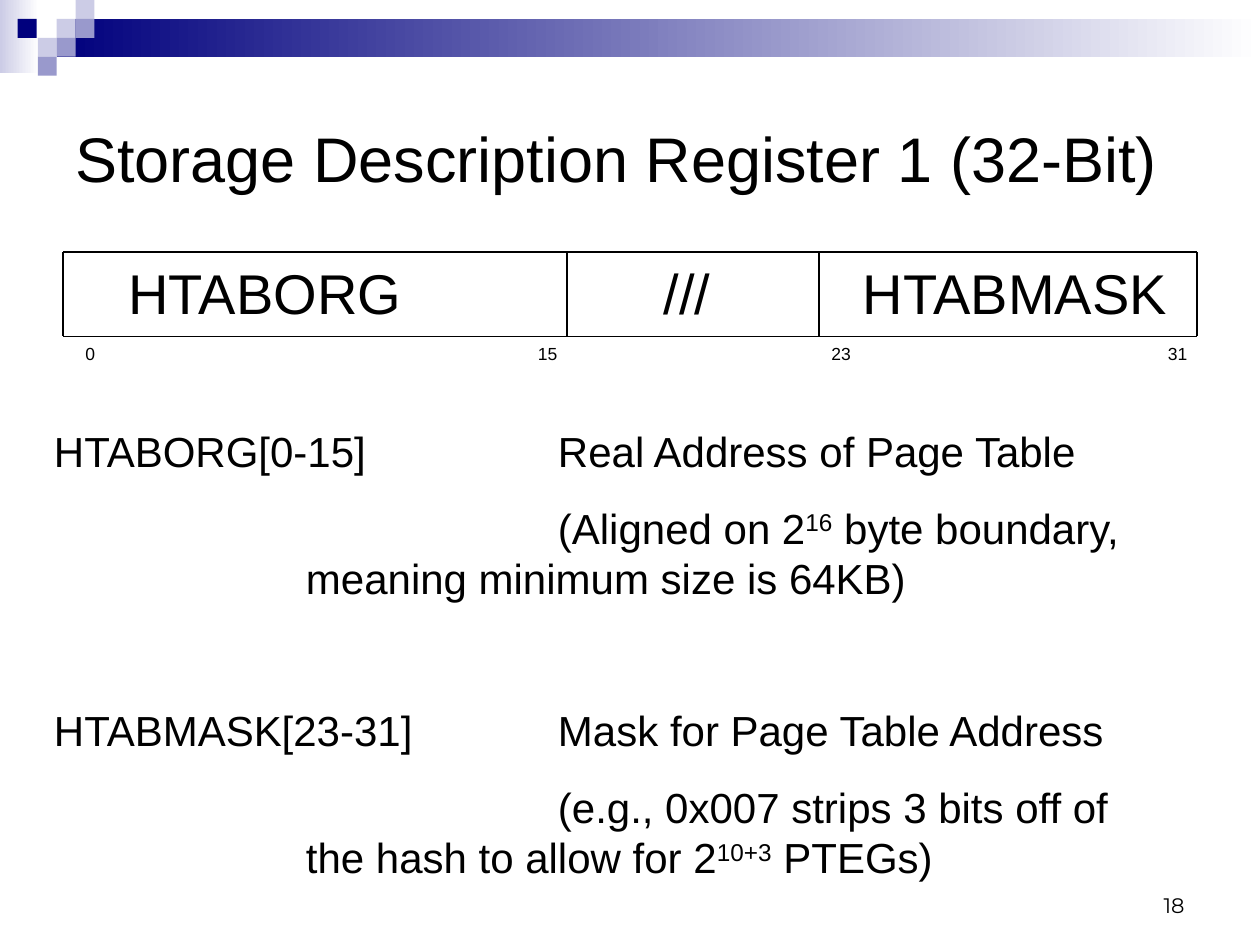
from lxml.etree import SubElement
from pptx import Presentation
from pptx.dml.color import RGBColor
from pptx.enum.shapes import MSO_CONNECTOR as Connector, MSO_SHAPE as Shape
from pptx.enum.text import MSO_ANCHOR as Anchor, PP_ALIGN as Align
from pptx.oxml.ns import qn
from pptx.util import Inches, Pt

COLORS = {"black": "000000", "white": "FFFFFF", "navy": "00007D",
          "lavender": "CCCCE6", "violet": "9999CC"}


def color(name):
    return RGBColor.from_string(COLORS[name])


def add_text(left, top, width, height, text, size, font="Arial", anchor=Anchor.TOP):
    frame = slide.shapes.add_textbox(
        Inches(left), Inches(top), Inches(width), Inches(height)).text_frame
    frame.word_wrap = True
    frame.vertical_anchor = anchor
    frame.text = text
    for paragraph in frame.paragraphs:
        for run in paragraph.runs:
            run.font.size = Pt(size)
            run.font.name = font
            run.font.color.rgb = color("black")
    return frame


prs = Presentation()
prs.slide_width, prs.slide_height = Inches(10), Inches(7.5)
slide = prs.slides.add_slide(prs.slide_layouts[6])

banner = [
    (0, 0, 0.31, 0.58, "lavender", True),
    (0.45, 0.15, 9.55, 0.3, "navy", True),
]
tiles = [
    (0.45, 0.15, "lavender"), (0.6, 0, "lavender"), (0.6, 0.15, "violet"),
    (0.3, 0.3, "lavender"), (0.14, 0.15, "navy"), (0.45, 0.3, "violet"),
    (0.3, 0.45, "violet"),
]
banner += [(left, top, 0.15, 0.15, shade, False) for left, top, shade in tiles]
for left, top, width, height, shade, fades in banner:
    block = slide.shapes.add_shape(
        Shape.RECTANGLE, Inches(left), Inches(top), Inches(width), Inches(height))
    block.shadow.inherit = False
    block.line.fill.background()
    if fades:
        block.fill.gradient()
        block.fill.gradient_angle = 0
        for stop, name in zip(block.fill.gradient_stops, (shade, "white")):
            stop.color.rgb = color(name)
    else:
        block.fill.solid()
        block.fill.fore_color.rgb = color(shade)

add_text(0.5, 0.5, 9, 1.5, "Storage Description Register 1 (32-Bit)", 36,
         anchor=Anchor.MIDDLE)

register_top, register_bottom = 2, 2.67
edges = [(0.5, y, 9.5, y) for y in (register_top, register_bottom)]
edges += [(x, register_top, x, register_bottom) for x in (0.5, 4.5, 6.5, 9.5)]
for x1, y1, x2, y2 in edges:
    edge = slide.shapes.add_connector(
        Connector.STRAIGHT, Inches(x1), Inches(y1), Inches(x2), Inches(y2))
    edge.line.color.rgb = color("black")
    edge.line.width = Pt(0.75)
    SubElement(edge._element.spPr, qn("a:effectLst"))

for left, width, field in [(0.92, 2.67, "HTABORG"), (5.17, 0.67, "///"),
                           (6.75, 2.75, "HTABMASK")]:
    add_text(left, register_top, width, 0.64, field, 32)

for left, width, bit in [(0.58, 0.27, "0"), (4.17, 0.58, "15"),
                         (6.5, 0.42, "23"), (9.17, 0.42, "31")]:
    add_text(left, register_bottom, width, 0.27, bit, 10)

descriptions = [
    (["HTABORG[0-15]\tReal Address of Page Table"], 0),
    (["(Aligned on 2", "16", " byte boundary,\vmeaning minimum size is 64KB)"], 15),
    (["HTABMASK[23-31]\tMask for Page Table Address"], 58),
    (["(e.g., 0x007 strips 3 bits off of\vthe hash to allow for 2", "10+3", " PTEGs)"], 15),
]
details = add_text(0.33, 3.33, 9.42, 3.74,
                   "\n".join(parts[0] for parts, _ in descriptions), 24)
for paragraph, (parts, space) in zip(details.paragraphs, descriptions):
    paragraph.space_before = Pt(space)
    properties = paragraph._p.get_or_add_pPr()
    if len(parts) == 1:
        tabs = SubElement(properties, qn("a:tabLst"))
        SubElement(tabs, qn("a:tab"), pos=str(Inches(4)), algn="l")
        continue
    properties.set("marL", str(Inches(2)))
    properties.set("indent", str(Inches(2)))
    exponent = paragraph.add_run()
    exponent.text = parts[1]
    exponent.font._element.set("baseline", "30000")
    for index, piece in enumerate(parts[2].split("\v")):
        if index:
            paragraph.add_line_break()
        paragraph.add_run().text = piece
    for run in paragraph.runs:
        run.font.size = Pt(24)
        run.font.name = "Arial"
        run.font.color.rgb = color("black")

page_number = add_text(7.17, 6.83, 2.33, 0.5, "18", 12, "Montserrat", Anchor.BOTTOM)
page_number.paragraphs[0].alignment = Align.RIGHT

prs.save("out.pptx")
